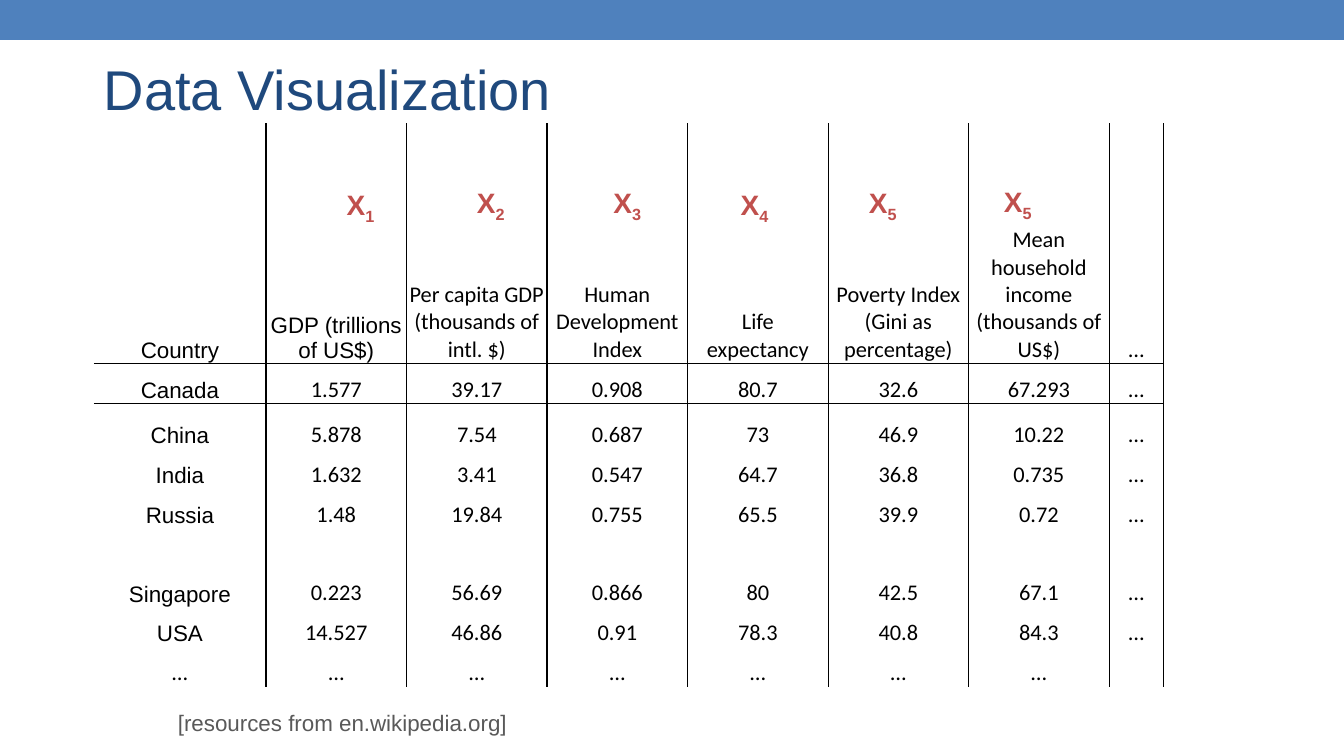
"""Build the Data Visualization slide with a table of country indicators."""
import pptx
import pptx.dml.color
import pptx.enum.shapes
import pptx.enum.text
import pptx.oxml
import pptx.oxml.ns
import pptx.util
from lxml import etree

Pt = pptx.util.Pt
COLORS = {"band": "4F81BD", "title": "1F497D", "variable": "C0504D",
          "source": "595959", "ink": "000000"}
NO_STYLE = "{2D5ABB26-0587-4C30-8999-92F81FD0307C}"


def style_font(font, size, color, name="Arial"):
    font.size = Pt(size)
    font.name = name
    font.color.rgb = pptx.dml.color.RGBColor.from_string(COLORS[color])


def set_border(cell, side, visible):
    line = etree.SubElement(cell._tc.get_or_add_tcPr(), pptx.oxml.ns.qn(f"a:{side}"))
    line.set("w", str(Pt(1)))
    if visible:
        fill = etree.SubElement(line, pptx.oxml.ns.qn("a:solidFill"))
        etree.SubElement(fill, pptx.oxml.ns.qn("a:srgbClr")).set("val", COLORS["ink"])
    else:
        etree.SubElement(line, pptx.oxml.ns.qn("a:noFill"))


deck = pptx.Presentation()
deck.slide_width, deck.slide_height = Pt(960), Pt(540)
slide = deck.slides.add_slide(deck.slide_layouts[5])

band = slide.shapes.add_shape(pptx.enum.shapes.MSO_SHAPE.RECTANGLE, 0, 0, Pt(960), Pt(28.5))
band.shadow.inherit = False
band.fill.solid()
band.fill.fore_color.rgb = pptx.dml.color.RGBColor.from_string(COLORS["band"])
band.line.fill.background()

source = slide.shapes.add_textbox(Pt(120), Pt(503), Pt(654), Pt(27))
source.text_frame.word_wrap = True
source.text_frame.text = "[resources from en.wikipedia.org]"
style_font(source.text_frame.paragraphs[0].runs[0].font, 16, "source")

indicators = [
    ["Country", "GDP (trillions of US$)", "Per capita GDP\n(thousands of intl. $)",
     "Human Development Index", "Life expectancy", "Poverty Index\n(Gini as percentage)",
     "Mean household income (thousands of US$)", "…"],
    ["Canada", "1.577", "39.17", "0.908", "80.7", "32.6", "67.293", "…"],
    ["China", "5.878", "7.54", "0.687", "73", "46.9", "10.22", "…"],
    ["India", "1.632", "3.41", "0.547", "64.7", "36.8", "0.735", "…"],
    ["Russia", "1.48", "19.84", "0.755", "65.5", "39.9", "0.72", "…"],
    ["Singapore", "0.223", "56.69", "0.866", "80", "42.5", "67.1", "…"],
    ["USA", "14.527", "46.86", "0.91", "78.3", "40.8", "84.3", "…"],
    ["…"] * 7 + [""],
]
column_widths = [123] + [100.4] * 6 + [39]
row_heights = [171.5, 28.5, 32.5, 28.5, 28.5, 56, 28.5, 28.5]
table_frame = slide.shapes.add_table(
    len(row_heights), len(column_widths), Pt(67), Pt(88),
    Pt(sum(column_widths)), Pt(sum(row_heights)))
table = table_frame.table
table.first_row = table.horz_banding = False
table._tbl.tblPr.find(pptx.oxml.ns.qn("a:tableStyleId")).text = NO_STYLE
for column, width in zip(table.columns, column_widths):
    column.width = Pt(width)
for row, height in zip(table.rows, row_heights):
    row.height = Pt(height)

for r, entries in enumerate(indicators):
    for c, entry in enumerate(entries):
        cell = table.cell(r, c)
        cell.margin_left = cell.margin_right = cell.margin_top = Pt(0.75)
        cell.margin_bottom = Pt(0)
        cell.vertical_anchor = pptx.enum.text.MSO_ANCHOR.BOTTOM
        set_border(cell, "lnL", c > 0)
        set_border(cell, "lnR", True)
        set_border(cell, "lnT", r in (1, 2))
        set_border(cell, "lnB", r in (0, 1))
        cell.fill.background()
        cell.text = entry
        arial = (c == 0 and entry != "…") or (r == 0 and c == 1)
        for paragraph in cell.text_frame.paragraphs:
            paragraph.alignment = pptx.enum.text.PP_ALIGN.CENTER
            for run in paragraph.runs:
                style_font(run.font, 16, "ink", "Arial" if arial else "Calibri")

title = slide.shapes.title
title.left, title.top, title.width, title.height = Pt(67), Pt(31), Pt(737), Pt(78)
title.text_frame.text = "Data Visualization"
title.text_frame.vertical_anchor = pptx.enum.text.MSO_ANCHOR.TOP
title.text_frame.margin_top = Pt(8)
title.text_frame.paragraphs[0].alignment = pptx.enum.text.PP_ALIGN.LEFT
style_font(title.text_frame.paragraphs[0].runs[0].font, 40, "title")

variables = [("1", 240.5, 130.5), ("2", 333.5, 129), ("3", 431, 129),
             ("4", 522, 130.5), ("5", 613.5, 129), ("5", 710, 128)]
for index, left, top in variables:
    variable = slide.shapes.add_textbox(Pt(left), Pt(top), Pt(35), Pt(31.5))
    variable.text_frame.word_wrap = False
    symbol = variable.text_frame.paragraphs[0]
    for letter in ("X", index):
        run = symbol.add_run()
        run.text = letter
        style_font(run.font, 20, "variable")
        run.font.bold = True
    symbol.runs[1].font._element.set("baseline", "-25000")

deck.save("out.pptx")
